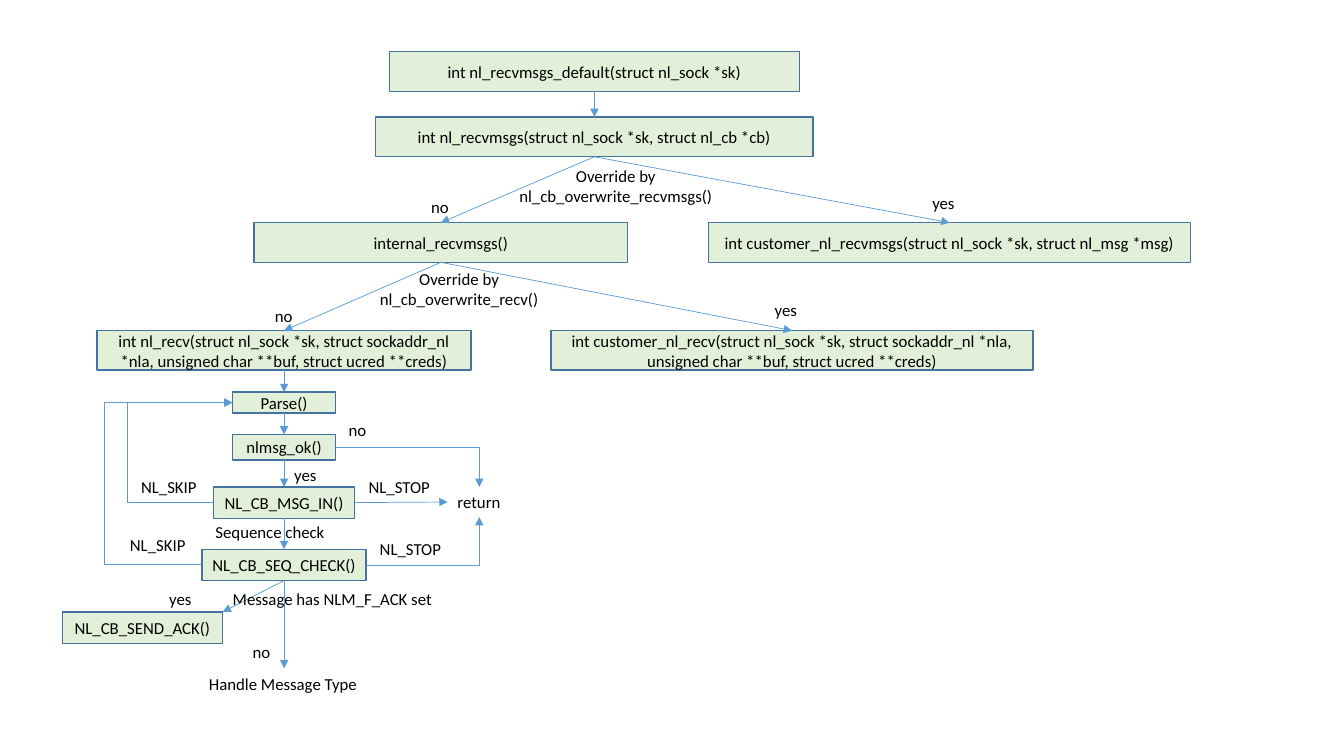
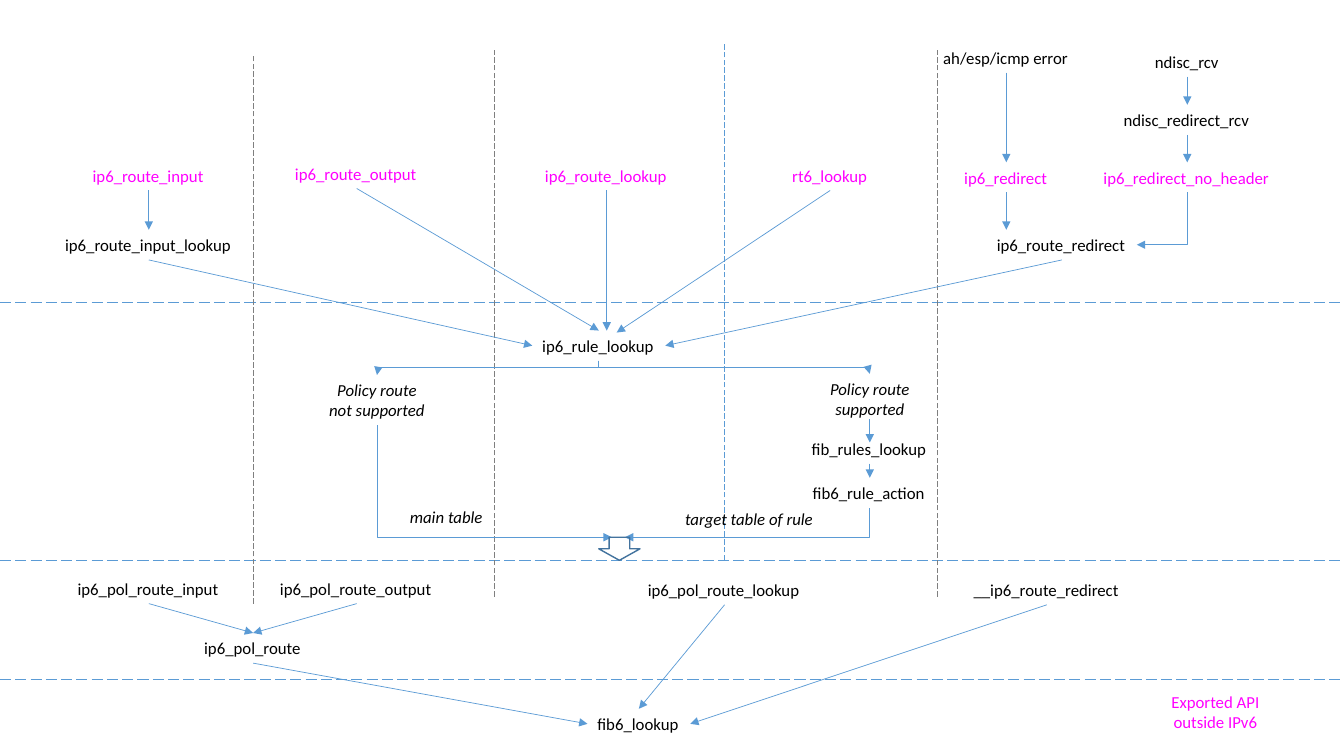
from dataclasses import dataclass
from enum import IntEnum

from lxml import etree
from pptx import Presentation
from pptx import util as u
from pptx.dml.color import RGBColor
from pptx.enum import dml, shapes, text
from pptx.oxml.ns import qn


@dataclass(frozen=True)
class Theme:
    font: str = "Calibri"
    size: float = 12
    ink: str = "000000"
    exported: str = "FF00FF"
    box_fill: str = "E2F0D9"
    outline: str = "43739E"
    arrow: str = "5B9BD5"
    column_rule: str = "7F7F7F"
    thin: float = 0.5
    medium: float = 1
    box_height: float = 1
    step_height: float = 0.79
    label_height: float = 0.76
    line_height: float = 0.51


THEME = Theme()
SLIDE_WIDTH, SLIDE_HEIGHT = 33.87, 19.05


class Side(IntEnum):
    """Connection sites of a rectangle."""
    TOP = 0
    LEFT = 1
    BOTTOM = 2
    RIGHT = 3


TOP, LEFT, BOTTOM, RIGHT = Side


def write(shape, content, color=THEME.ink, italic=False, align=text.PP_ALIGN.CENTER):
    frame = shape.text_frame
    frame.text = content
    for paragraph in frame.paragraphs:
        paragraph.alignment = align
        for run in paragraph.runs:
            run.font.name = THEME.font
            run.font.size = u.Pt(THEME.size)
            run.font.italic = italic
            run.font.color.rgb = RGBColor.from_string(color)


def set_line(line, color, width):
    line.color.rgb = RGBColor.from_string(color)
    line.width = u.Pt(width)


def add_box(slide, content, centre, top, width, height=THEME.box_height):
    box = slide.shapes.add_shape(
        shapes.MSO_SHAPE.RECTANGLE,
        u.Cm(centre - width / 2), u.Cm(top), u.Cm(width), u.Cm(height))
    box.shadow.inherit = False
    box.fill.solid()
    box.fill.fore_color.rgb = RGBColor.from_string(THEME.box_fill)
    set_line(box.line, THEME.outline, THEME.medium)
    box.text_frame.word_wrap = True
    box.text_frame.vertical_anchor = text.MSO_ANCHOR.MIDDLE
    write(box, content)
    return box


def add_label(slide, content, centre, top, width, color=THEME.ink, italic=False):
    extra_lines = content.count("\n")
    height = THEME.label_height + extra_lines * THEME.line_height
    label = slide.shapes.add_textbox(
        u.Cm(centre - width / 2), u.Cm(top), u.Cm(width), u.Cm(height))
    label.text_frame.word_wrap = False
    label.text_frame.auto_size = text.MSO_AUTO_SIZE.SHAPE_TO_FIT_TEXT
    align = text.PP_ALIGN.CENTER if extra_lines else text.PP_ALIGN.LEFT
    write(label, content, color, italic, align)
    return label


def locate(end):
    """Return the place of an end: a (shape, side) pair or an (x, y) pair in cm."""
    if not isinstance(end[1], Side):
        return u.Cm(end[0]), u.Cm(end[1])
    shape, side = end
    across = {LEFT: 0, RIGHT: shape.width}.get(side, shape.width // 2)
    down = {TOP: 0, BOTTOM: shape.height}.get(side, shape.height // 2)
    return shape.left + across, shape.top + down


def add_connector(slide, start, end, kind=shapes.MSO_CONNECTOR.STRAIGHT,
                  color=THEME.arrow, width=THEME.thin):
    connector = slide.shapes.add_connector(kind, *locate(start), *locate(end))
    if isinstance(start[1], Side):
        connector.begin_connect(*start)
    if isinstance(end[1], Side):
        connector.end_connect(*end)
    set_line(connector.line, color, width)
    etree.SubElement(connector.element.spPr, qn("a:effectLst"))
    return connector


def add_arrowhead(connector, place="tailEnd"):
    line = connector.element.spPr.find(qn("a:ln"))
    etree.SubElement(line, qn("a:" + place), type="triangle")


def add_arrow(slide, start, end):
    add_arrowhead(add_connector(slide, start, end))


def add_corner(slide, start, end, place="tailEnd"):
    """Leave start sideways and reach end vertically; place names the end with the head."""
    connector = add_connector(slide, start, end, shapes.MSO_CONNECTOR.ELBOW)
    connector.element.spPr.find(qn("a:prstGeom")).set("prst", "bentConnector2")
    add_arrowhead(connector, place)


def add_loop(slide, start, end, lane):
    """Run sideways to the x position lane, then up and back to end."""
    connector = add_connector(slide, start, end, shapes.MSO_CONNECTOR.ELBOW)
    start_x, end_x = locate(start)[0], locate(end)[0]
    bend = round((u.Cm(lane) - start_x) / (end_x - start_x) * 100000)
    geometry = connector.element.spPr.find(qn("a:prstGeom"))
    adjustments = geometry.find(qn("a:avLst"))
    etree.SubElement(adjustments, qn("a:gd"), name="adj1", fmla=f"val {bend}")
    add_arrowhead(connector)


def add_branch(slide, start, end):
    """Go down, across and down again: a sideways elbow turned by a quarter."""
    connector = add_connector(slide, start, end, shapes.MSO_CONNECTOR.ELBOW)
    (start_x, start_y), (end_x, end_y) = locate(start), locate(end)
    width, height = abs(end_y - start_y), abs(end_x - start_x)
    connector.left = (start_x + end_x - width) // 2
    connector.top = (start_y + end_y - height) // 2
    connector.width, connector.height = width, height
    frame = connector.element.spPr.find(qn("a:xfrm"))
    goes_right = end_x > start_x
    frame.set("flipH", "1" if goes_right else "0")
    frame.set("rot", str((270 if goes_right else 90) * 60000))
    add_arrowhead(connector)


def add_divider(slide, start, end, color, width):
    connector = add_connector(slide, start, end, color=color, width=width)
    connector.line.dash_style = dml.MSO_LINE.LONG_DASH


def build_receive_flow(slide):
    column = 7.16
    default = add_box(slide, "int nl_recvmsgs_default(struct nl_sock *sk)", 14.98, 1.3, 10.34)
    receive_all = add_box(
        slide, "int nl_recvmsgs(struct nl_sock *sk, struct nl_cb *cb)", 14.98, 2.95, 11.02)
    internal = add_box(slide, "internal_recvmsgs()", 11.11, 5.61, 9.42)
    customer_all = add_box(
        slide, "int customer_nl_recvmsgs(struct nl_sock *sk, struct nl_msg *msg)",
        23.93, 5.61, 12.14)
    arguments = ("(struct nl_sock *sk, struct sockaddr_nl *nla, "
                 "unsigned char **buf, struct ucred **creds)")
    receive = add_box(slide, "int nl_recv" + arguments, column, 8.33, 9.42)
    customer = add_box(slide, "int customer_nl_recv" + arguments, 19.96, 8.33, 12.14)
    parse_step = add_box(slide, "Parse()", column, 9.88, 2.6, 0.53)
    valid = add_box(slide, "nlmsg_ok()", column, 10.95, 2.6, 0.64)
    message_in = add_box(slide, "NL_CB_MSG_IN()", column, 12.27, 3.56, THEME.step_height)
    sequence = add_box(slide, "NL_CB_SEQ_CHECK()", column, 13.84, 4.14, THEME.step_height)
    add_box(slide, "NL_CB_SEND_ACK()", 3.59, 15.42, 4.04, THEME.step_height)
    leave = add_label(slide, "return", 12.08, 12.27, 1.6)
    handle = add_label(slide, "Handle Message Type", column, 16.84, 4.29)

    for upper, lower in [
            (default, receive_all), (receive_all, internal), (receive_all, customer_all),
            (internal, receive), (internal, customer), (receive, parse_step),
            (parse_step, valid), (valid, message_in), (message_in, sequence),
            (sequence, handle)]:
        add_arrow(slide, (upper, BOTTOM), (lower, TOP))
    add_arrow(slide, (sequence, BOTTOM), (5.61, 15.42))
    add_arrow(slide, (message_in, RIGHT), (leave, LEFT))
    add_corner(slide, (valid, RIGHT), (leave, TOP))
    add_corner(slide, (sequence, RIGHT), (leave, BOTTOM))
    for step, lane in [(message_in, 3.2), (sequence, 2.62)]:
        add_loop(slide, (step, LEFT), (parse_step, LEFT), lane)

    for content, width, places in [
            ("Override by\nnl_cb_overwrite_recvmsgs()", 5.44, [(15.52, 4.06)]),
            ("Override by\nnl_cb_overwrite_recv()", 4.55, [(11.57, 6.65)]),
            ("no", 0.97, [(11.1, 4.83), (7.16, 7.57), (9.02, 10.46), (6.6, 16.05)]),
            ("yes", 1.09, [(23.79, 4.72), (19.82, 7.44), (7.71, 11.58), (4.56, 14.71)]),
            ("NL_STOP", 2.08, [(10.08, 11.89), (10.36, 13.46)]),
            ("NL_SKIP", 1.93, [(4.27, 11.89), (3.99, 13.36)]),
            ("Sequence check", 3.3, [(6.83, 13.03)]),
            ("Message has NLM_F_ACK set", 5.59, [(8.41, 14.71)])]:
        for centre, top in places:
            add_label(slide, content, centre, top, width)


def build_route_lookup(slide):
    for y in (7.62, 14.12, 17.12):
        add_divider(slide, (0, y), (SLIDE_WIDTH, y), THEME.arrow, THEME.medium)
    for x, top, bottom, color in [
            (6.38, 1.42, 15.21, THEME.column_rule), (12.45, 1.27, 15.04, THEME.column_rule),
            (18.26, 1.12, 14.12, THEME.arrow), (23.62, 1.27, 15.04, THEME.column_rule)]:
        add_divider(slide, (x, bottom), (x, top), color, THEME.thin)

    functions = {
        name: add_label(slide, name, centre, top, width)
        for name, centre, top, width in [
            ("ip6_route_input_lookup", 3.75, 5.79, 4.72),
            ("ip6_rule_lookup", 15.09, 8.33, 3.35),
            ("fib6_lookup", 16.1, 17.86, 2.59),
            ("ip6_pol_route", 6.38, 15.95, 2.97),
            ("ip6_pol_route_input", 3.75, 14.45, 4.09),
            ("ip6_pol_route_output", 8.99, 14.45, 4.37),
            ("ip6_pol_route_lookup", 18.26, 14.48, 4.37),
            ("__ip6_route_redirect", 26.38, 14.48, 4.19),
            ("ip6_route_redirect", 26.76, 5.79, 3.78),
            ("ndisc_redirect_rcv", 29.92, 2.64, 3.71),
            ("ah/esp/icmp error", 25.36, 1.07, 3.68),
            ("ndisc_rcv", 29.92, 1.17, 2.13),
            ("fib_rules_lookup", 21.92, 10.92, 3.43),
            ("fib6_rule_action", 21.92, 12.04, 3.38)]}
    for name, centre, top, width in [
            ("ip6_route_input", 3.75, 4.04, 3.33),
            ("ip6_route_output", 8.99, 3.99, 3.61),
            ("ip6_route_lookup", 15.29, 4.04, 3.61),
            ("rt6_lookup", 20.92, 4.04, 2.41),
            ("ip6_redirect", 25.36, 4.09, 2.62),
            ("ip6_redirect_no_header", 29.92, 4.09, 4.72)]:
        functions[name] = add_label(slide, name, centre, top, width, THEME.exported)
    add_label(slide, "Exported API\noutside IPv6", 30.63, 17.3, 2.84, THEME.exported)
    unsupported, supported, _, _ = [
        add_label(slide, content, centre, top, width, italic=True)
        for content, centre, top, width in [
            ("Policy route\nnot supported", 9.5, 9.45, 3),
            ("Policy route\nsupported", 21.92, 9.42, 2.54),
            ("main table", 11.26, 12.65, 2.36),
            ("target table of rule", 18.96, 12.7, 3.89)]]

    for caller, callee, side in [
            ("ip6_route_input", "ip6_route_input_lookup", TOP),
            ("ip6_route_input_lookup", "ip6_rule_lookup", LEFT),
            ("ip6_route_output", "ip6_rule_lookup", TOP),
            ("ip6_route_redirect", "ip6_rule_lookup", RIGHT),
            ("ah/esp/icmp error", "ip6_redirect", TOP),
            ("ndisc_rcv", "ndisc_redirect_rcv", TOP),
            ("ndisc_redirect_rcv", "ip6_redirect_no_header", TOP),
            ("fib_rules_lookup", "fib6_rule_action", TOP),
            ("ip6_pol_route_input", "ip6_pol_route", TOP),
            ("ip6_pol_route_output", "ip6_pol_route", TOP),
            ("ip6_pol_route", "fib6_lookup", LEFT),
            ("ip6_pol_route_lookup", "fib6_lookup", TOP),
            ("__ip6_route_redirect", "fib6_lookup", RIGHT)]:
        add_arrow(slide, (functions[caller], BOTTOM), (functions[callee], side))
    for caller, tip in [("ip6_route_lookup", (15.29, 8.33)), ("rt6_lookup", (15.54, 8.38)),
                        ("ip6_redirect", (25.36, 5.79))]:
        add_arrow(slide, (functions[caller], BOTTOM), tip)
    add_arrow(slide, (21.92, 10.57), (21.92, 11.15))

    for outcome in (unsupported, supported):
        add_branch(slide, (functions["ip6_rule_lookup"], BOTTOM), (outcome, TOP))
    for tip, origin in [
            ((functions["ip6_route_redirect"], RIGHT), functions["ip6_redirect_no_header"]),
            ((15.75, 13.54), functions["fib6_rule_action"]),
            ((15.42, 13.54), unsupported)]:
        add_corner(slide, tip, (origin, BOTTOM), "headEnd")

    merge = slide.shapes.add_shape(
        shapes.MSO_SHAPE.DOWN_ARROW, u.Cm(15.09), u.Cm(13.54), u.Cm(1.04), u.Cm(0.58))
    merge.shadow.inherit = False
    merge.fill.background()
    set_line(merge.line, THEME.outline, THEME.medium)


def main():
    presentation = Presentation()
    presentation.slide_width = u.Cm(SLIDE_WIDTH)
    presentation.slide_height = u.Cm(SLIDE_HEIGHT)
    blank = presentation.slide_layouts[6]
    for build in (build_receive_flow, build_route_lookup):
        build(presentation.slides.add_slide(blank))
    presentation.save("out.pptx")


if __name__ == "__main__":
    main()
